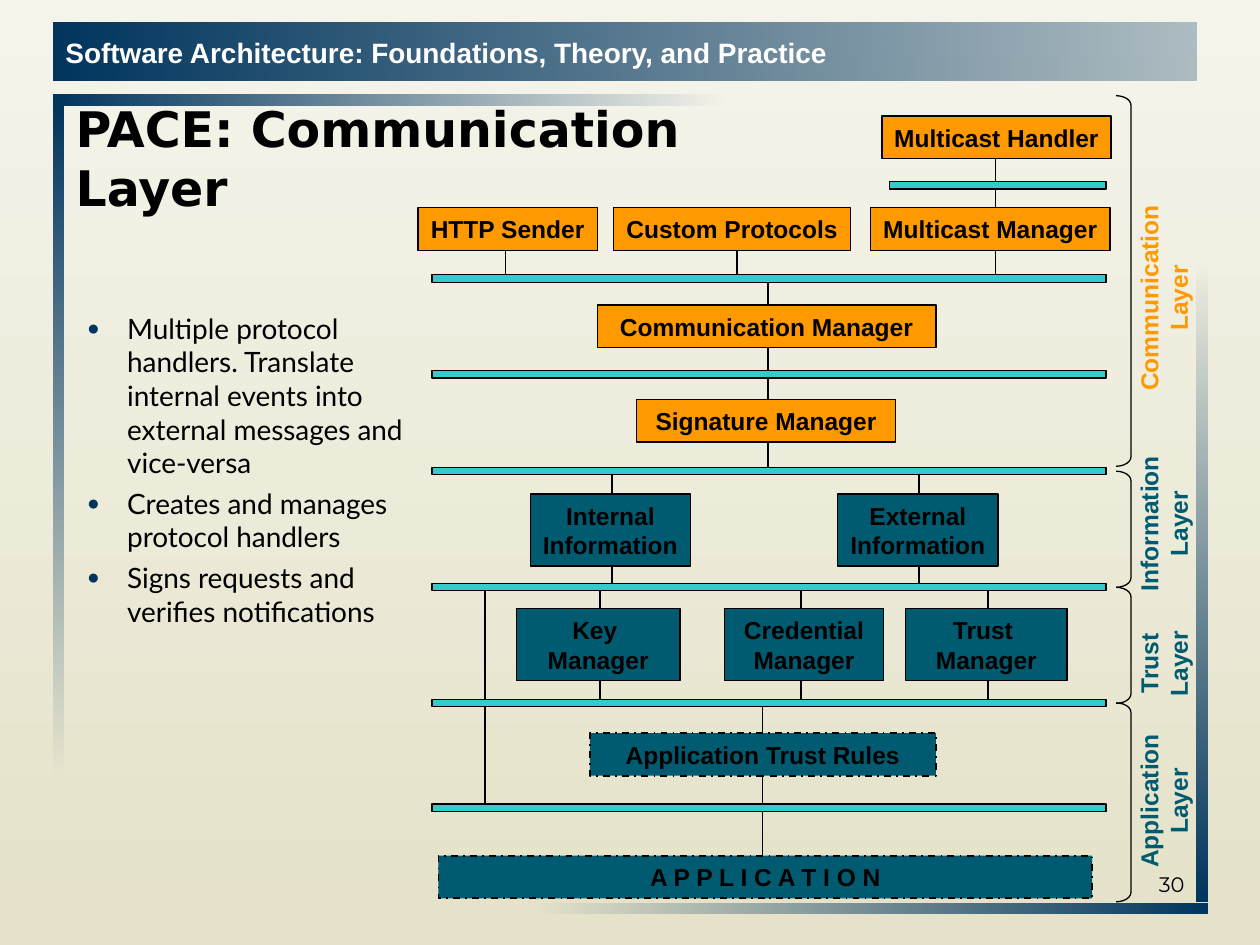
from typing import Any, NamedTuple

from lxml.etree import SubElement
from pptx import Presentation
from pptx.dml.color import RGBColor
from pptx.enum.dml import MSO_LINE
from pptx.enum.shapes import MSO_CONNECTOR, MSO_SHAPE
from pptx.enum.text import MSO_ANCHOR, MSO_AUTO_SIZE, PP_ALIGN
from pptx.oxml.ns import qn
from pptx.util import Cm, Pt

NAVY, TEAL, ORANGE, TURQUOISE = "00355E", "005B70", "FF9900", "33CCCC"
BLACK, WHITE = "000000", "FFFFFF"
SINGLE, DOUBLE = 0.86, 1.45
BUS_LEFT, BUS_WIDTH, BUS_HEIGHT = 8.71, 13.59, 0.15
BRACKET_LEFT, BRACKET_WIDTH = 22.5, 0.3
LABEL_CENTER = 23.46

DIAGRAM_FONT = {"name": "Arial", "size": Pt(14), "bold": True}
HEADER_FONT = {"name": "Arial", "size": Pt(16), "bold": True}
TITLE_FONT = {"name": "DejaVu Sans", "size": Pt(28), "bold": True}
BODY_FONT = {"name": "Lato", "size": Pt(16), "bold": False}
NUMBER_FONT = {"name": "Montserrat", "size": Pt(12), "bold": False}


class Frame(NamedTuple):
    left: float
    top: float
    width: float
    height: float


class Band(NamedTuple):
    frame: Frame
    start_opacity: int
    end_opacity: int
    angle: int


class Component(NamedTuple):
    text: str
    frame: Frame
    color: str
    dashed: bool = False


class Link(NamedTuple):
    x: float
    top: float
    bottom: float


class Layer(NamedTuple):
    name: str
    color: str
    bracket_top: float
    bracket_height: float
    label_top: float
    label_width: float


BANDS = [
    Band(Frame(1.07, 1.91, 13.54, 0.21), 100, 0, 0),
    Band(Frame(1.07, 2.12, 0.21, 13.54), 100, 0, 270),
    Band(Frame(10.8, 18.21, 13.54, 0.21), 0, 100, 0),
    Band(Frame(24.13, 5.28, 0.21, 12.9), 0, 100, 270),
]
COMPONENTS = [
    Component("Multicast Handler", Frame(17.78, 2.34, 4.62, SINGLE), ORANGE),
    Component("HTTP Sender", Frame(8.43, 4.19, 3.61, SINGLE), ORANGE),
    Component("Custom Protocols", Frame(12.37, 4.19, 4.78, SINGLE), ORANGE),
    Component("Multicast Manager", Frame(17.55, 4.19, 4.83, SINGLE), ORANGE),
    Component("Communication Manager", Frame(12.04, 6.15, 6.83, SINGLE), ORANGE),
    Component("Signature Manager", Frame(12.83, 8.05, 5.23, SINGLE), ORANGE),
    Component("Internal\nInformation", Frame(10.69, 9.96, 3.23, DOUBLE), TEAL),
    Component("External\nInformation", Frame(16.89, 9.96, 3.23, DOUBLE), TEAL),
    Component("Key \nManager", Frame(10.41, 12.27, 3.3, DOUBLE), TEAL),
    Component("Credential\nManager", Frame(14.61, 12.27, 3.2, DOUBLE), TEAL),
    Component("Trust \nManager", Frame(18.26, 12.27, 3.25, DOUBLE), TEAL),
    Component("Application Trust Rules", Frame(11.89, 14.78, 6.98, SINGLE), TEAL, True),
    Component("A P P L I C A T I O N", Frame(8.84, 17.25, 13.18, SINGLE), TEAL, True),
]
BUSES = [Frame(17.93, 3.66, 4.37, BUS_HEIGHT)] + [
    Frame(BUS_LEFT, top, BUS_WIDTH, BUS_HEIGHT)
    for top in (5.54, 7.47, 9.42, 11.76, 14.1, 16.21)
]
LINKS = [
    Link(20.07, 2.79, 5.59),
    Link(10.19, 4.7, 5.59),
    Link(14.86, 4.7, 5.59),
    Link(15.48, 5.59, 9.5),
    Link(12.34, 9.5, 11.84),
    Link(18.52, 9.5, 11.84),
    Link(12.09, 11.84, 14.17),
    Link(16.15, 11.84, 14.17),
    Link(19.91, 11.84, 14.17),
    Link(9.78, 11.76, 16.21),
    Link(15.37, 14.17, 17.75),
]
LAYERS = [
    Layer("Communication", ORANGE, 1.93, 7.47, 5.28, 4.24),
    Layer("Information", TEAL, 9.5, 2.34, 9.83, 3.23),
    Layer("Trust", TEAL, 11.84, 2.34, 12.65, 1.83),
    Layer("Application", TEAL, 14.17, 4.01, 15.42, 4.72),
]
BULLETS = [
    "Multiple protocol handlers. Translate internal events into external messages and vice-versa",
    "Creates and manages protocol handlers",
    "Signs requests and verifies notifications",
]


def rgb(value: str) -> RGBColor:
    return RGBColor.from_string(value)


def apply(target: Any, values: dict[str, Any]) -> None:
    for name, value in values.items():
        setattr(target, name, value)


def lengths(frame: Frame) -> list[Cm]:
    return [Cm(value) for value in frame]


def write(shape: Any, text: str, font: dict[str, Any], color: str, alignment: PP_ALIGN,
          anchor: MSO_ANCHOR, wrap: bool) -> None:
    shape.text_frame.text = text
    apply(shape.text_frame, {"auto_size": MSO_AUTO_SIZE.NONE, "word_wrap": wrap,
                             "vertical_anchor": anchor})
    for paragraph in shape.text_frame.paragraphs:
        paragraph.alignment = alignment
        for run in paragraph.runs:
            apply(run.font, font)
            run.font.color.rgb = rgb(color)


def fill_gradient(fill: Any, colors: tuple[str, str], angle: int) -> None:
    fill.gradient()
    fill.gradient_angle = angle
    for stop, position, color in zip(fill.gradient_stops, (0, 1), colors):
        stop.position = position
        stop.color.rgb = rgb(color)


def add_band(slide: Any, band: Band) -> Any:
    shape = slide.shapes.add_shape(MSO_SHAPE.RECTANGLE, *lengths(band.frame))
    shape.shadow.inherit = False
    shape.line.fill.background()
    fill_gradient(shape.fill, (NAVY, NAVY), band.angle)
    colors = shape.element.spPr.iter(qn("a:srgbClr"))
    for color, opacity in zip(colors, (band.start_opacity, band.end_opacity)):
        SubElement(color, qn("a:alpha")).set("val", str(opacity * 1000))
    return shape


def add_box(slide: Any, frame: Frame, color: str) -> Any:
    shape = slide.shapes.add_shape(MSO_SHAPE.RECTANGLE, *lengths(frame))
    shape.shadow.inherit = False
    shape.fill.solid()
    shape.fill.fore_color.rgb = rgb(color)
    shape.line.color.rgb = rgb(BLACK)
    shape.line.width = Pt(0.75)
    return shape


def add_component(slide: Any, component: Component) -> None:
    shape = add_box(slide, component.frame, component.color)
    if component.dashed:
        apply(shape.line, {"width": Pt(1), "dash_style": MSO_LINE.DASH_DOT})
    write(shape, component.text, DIAGRAM_FONT, BLACK, PP_ALIGN.CENTER, MSO_ANCHOR.MIDDLE, False)


def add_link(slide: Any, link: Link) -> None:
    connector = slide.shapes.add_connector(
        MSO_CONNECTOR.STRAIGHT, Cm(link.x), Cm(link.top), Cm(link.x), Cm(link.bottom))
    connector.line.color.rgb = rgb(BLACK)
    connector.line.width = Pt(1)
    SubElement(connector.element.spPr, qn("a:effectLst"))


def add_layer(slide: Any, layer: Layer) -> None:
    bracket = slide.shapes.add_shape(MSO_SHAPE.RIGHT_BRACKET, *lengths(
        Frame(BRACKET_LEFT, layer.bracket_top, BRACKET_WIDTH, layer.bracket_height)))
    bracket.shadow.inherit = False
    bracket.adjustments[0] = 0.64
    bracket.fill.background()
    bracket.line.color.rgb = rgb(BLACK)
    bracket.line.width = Pt(0.75)
    label = slide.shapes.add_textbox(*lengths(Frame(
        LABEL_CENTER - layer.label_width / 2, layer.label_top, layer.label_width, DOUBLE)))
    label.rotation = 270
    write(label, f"{layer.name}\nLayer", DIAGRAM_FONT, layer.color,
          PP_ALIGN.CENTER, MSO_ANCHOR.TOP, False)


def place(shape: Any, frame: Frame) -> None:
    apply(shape, dict(zip(("left", "top", "width", "height"), lengths(frame))))


def add_bullet(paragraph: Any) -> None:
    properties = paragraph._p.get_or_add_pPr()
    properties.set("marL", str(Cm(1.24)))
    properties.set("indent", str(Cm(-0.81)))
    color = SubElement(properties, qn("a:buClr"))
    SubElement(color, qn("a:srgbClr")).set("val", NAVY)
    SubElement(properties, qn("a:buSzPct")).set("val", "75000")
    SubElement(properties, qn("a:buChar")).set("char", "●")


def main() -> None:
    presentation = Presentation()
    apply(presentation, {"slide_width": Cm(25.4), "slide_height": Cm(19.05)})
    slide = presentation.slides.add_slide(presentation.slide_layouts[1])
    fill_gradient(slide.background.fill, ("F5F4EB", "E5E2C9"), 270)

    title, body = slide.placeholders
    place(title, Frame(1.27, 1.91, 22.86, 2.54))
    write(title, "PACE: Communication \vLayer", TITLE_FONT, BLACK,
          PP_ALIGN.LEFT, MSO_ANCHOR.MIDDLE, True)
    place(body, Frame(1.07, 6.15, 7.82, 9.96))
    write(body, "\n".join(BULLETS), BODY_FONT, BLACK, PP_ALIGN.LEFT, MSO_ANCHOR.TOP, True)
    for index, paragraph in enumerate(body.text_frame.paragraphs):
        add_bullet(paragraph)
        paragraph.space_before = Pt(4 if index else 0)

    header = add_band(slide, Band(Frame(1.07, 0.46, 23.06, 1.17), 100, 29, 0))
    write(header, "Software Architecture: Foundations, Theory, and Practice", HEADER_FONT, WHITE,
          PP_ALIGN.LEFT, MSO_ANCHOR.MIDDLE, True)
    for band in BANDS:
        add_band(slide, band)
    number = slide.shapes.add_textbox(*lengths(Frame(18.21, 16.94, 5.92, 1.27)))
    write(number, "30", NUMBER_FONT, BLACK, PP_ALIGN.RIGHT, MSO_ANCHOR.BOTTOM, True)

    for link in LINKS:
        add_link(slide, link)
    for component in COMPONENTS:
        add_component(slide, component)
    for bus in BUSES:
        add_box(slide, bus, TURQUOISE)
    for layer in LAYERS:
        add_layer(slide, layer)
    presentation.save("out.pptx")


if __name__ == "__main__":
    main()
